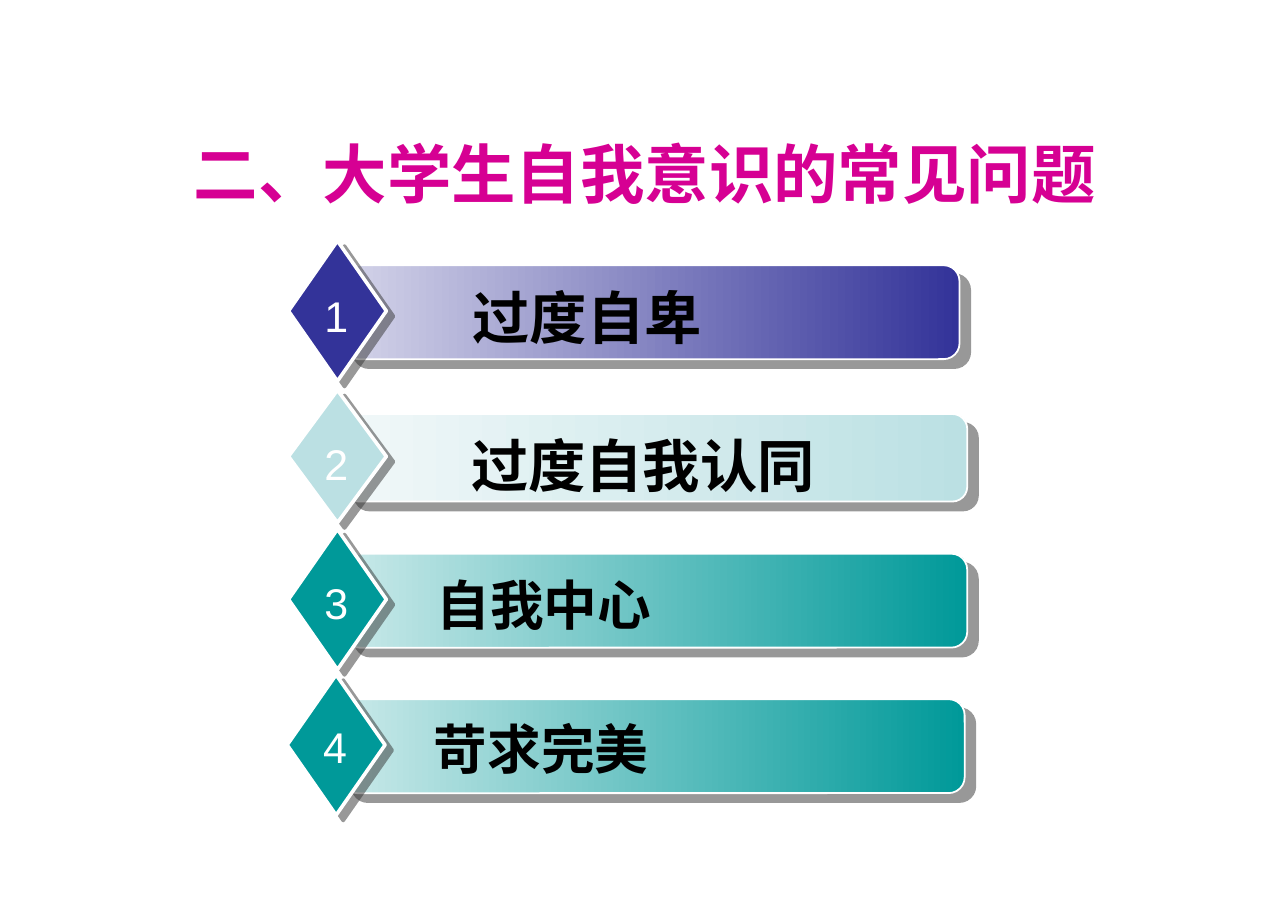
from lxml.etree import SubElement
from pptx import Presentation
from pptx.dml.color import RGBColor
from pptx.enum.shapes import MSO_SHAPE
from pptx.enum.text import MSO_ANCHOR, PP_ALIGN
from pptx.oxml.ns import qn
from pptx.util import Inches, Pt

MAGENTA = RGBColor(0xD6, 0x00, 0x93)
WHITE = RGBColor(0xFF, 0xFF, 0xFF)
BLACK = RGBColor(0x00, 0x00, 0x00)
INDIGO = RGBColor(0x33, 0x33, 0x99)
PALE_INDIGO = RGBColor(0xD4, 0xD4, 0xE9)
AQUA = RGBColor(0xBB, 0xE0, 0xE3)
PALE_AQUA = RGBColor(0xF1, 0xF8, 0xF9)
TEAL = RGBColor(0x00, 0x99, 0x99)
PALE_TEAL = RGBColor(0xC9, 0xE9, 0xE9)
SANS = "Arial"
CHINESE = "Noto Sans CJK SC"


def add_label(shapes, area, text, size, font, color, bold=True, align=PP_ALIGN.LEFT):
    box = shapes.add_textbox(*[Inches(value) for value in area])
    box.text_frame.word_wrap = True
    para = box.text_frame.paragraphs[0]
    para.alignment = align
    span = para.add_run()
    span.text = text
    span.font.size = Pt(size)
    span.font.bold = bold
    span.font.name = font
    span.font.color.rgb = color
    # East Asian typeface for the Chinese characters
    SubElement(span.font._element, qn("a:ea"), typeface=CHINESE)
    return box


def outline_and_shadow(shape, width, distance, angle):
    shape.line.color.rgb = WHITE
    shape.line.width = Pt(width)
    shape.shadow.inherit = False
    effects = shape._element.spPr.find(qn("a:effectLst"))
    shadow = SubElement(effects, qn("a:outerShdw"), blurRad="0",
                        dist=str(Pt(distance)), dir=str(angle * 60000),
                        algn="ctr", rotWithShape="0")
    tint = SubElement(shadow, qn("a:srgbClr"), val="333333")
    SubElement(tint, qn("a:alpha"), val="50000")


deck = Presentation()
deck.slide_width = Inches(10)
deck.slide_height = Inches(7.09)
page = deck.slides.add_slide(deck.slide_layouts[6])

# Title
title = add_label(page.shapes, (0.83, 0.82, 8.35, 1.05), "二、大学生自我意识的常见问题",
                  36, CHINESE, MAGENTA, align=PP_ALIGN.CENTER)
title.text_frame.vertical_anchor = MSO_ANCHOR.MIDDLE

# Rows: text, size, font, colours, diamond (left, top, height),
# bar (left, width, height), text (left, top), number top
rows = [
    ("过度自卑", 32, SANS, PALE_INDIGO, INDIGO,
     (2.24, 1.87, 1.09), (2.66, 4.79, 0.73), (3.57, 2.14), 2.2),
    ("过度自我认同", 32, CHINESE, PALE_AQUA, AQUA,
     (2.24, 3.03, 1.03), (2.67, 4.84, 0.68), (3.56, 3.29), 3.35),
    ("自我中心", 30, CHINESE, PALE_TEAL, TEAL,
     (2.24, 4.11, 1.09), (2.67, 4.84, 0.73), (3.29, 4.39), 4.43),
    ("苛求完美", 30, CHINESE, PALE_TEAL, TEAL,
     (2.23, 5.24, 1.09), (2.65, 4.84, 0.73), (3.27, 5.51), 5.55),
]
for number, row in enumerate(rows, 1):
    text, size, font, pale, strong, diamond_area, bar_area, text_at, number_top = row
    left, top, height = diamond_area
    bar_left, bar_width, bar_height = bar_area
    shapes = page.shapes.add_group_shape().shapes

    # Gradient bar, centred on the diamond's height
    bar_top = top + (height - bar_height) / 2 + 0.01
    bar = shapes.add_shape(MSO_SHAPE.ROUNDED_RECTANGLE, Inches(bar_left), Inches(bar_top),
                           Inches(bar_width), Inches(bar_height))
    bar.adjustments[0] = 0.17
    bar.fill.gradient()
    bar.fill.gradient_angle = 0
    for stop, color in zip(bar.fill.gradient_stops, (pale, strong)):
        stop.color.rgb = color
    outline_and_shadow(bar, 1, 7.8, 40)

    # Diamond marker
    diamond = shapes.add_shape(MSO_SHAPE.DIAMOND, Inches(left), Inches(top),
                               Inches(0.76), Inches(height))
    diamond.fill.solid()
    diamond.fill.fore_color.rgb = strong
    outline_and_shadow(diamond, 2, 5, 37)

    # Problem name and number
    add_label(shapes, (*text_at, 3.95, 0.64), text, size, font, BLACK)
    add_label(shapes, (left + 0.18, number_top, 0.38, 0.5), str(number), 24, SANS,
              WHITE, bold=False, align=PP_ALIGN.CENTER)

deck.save("out.pptx")
